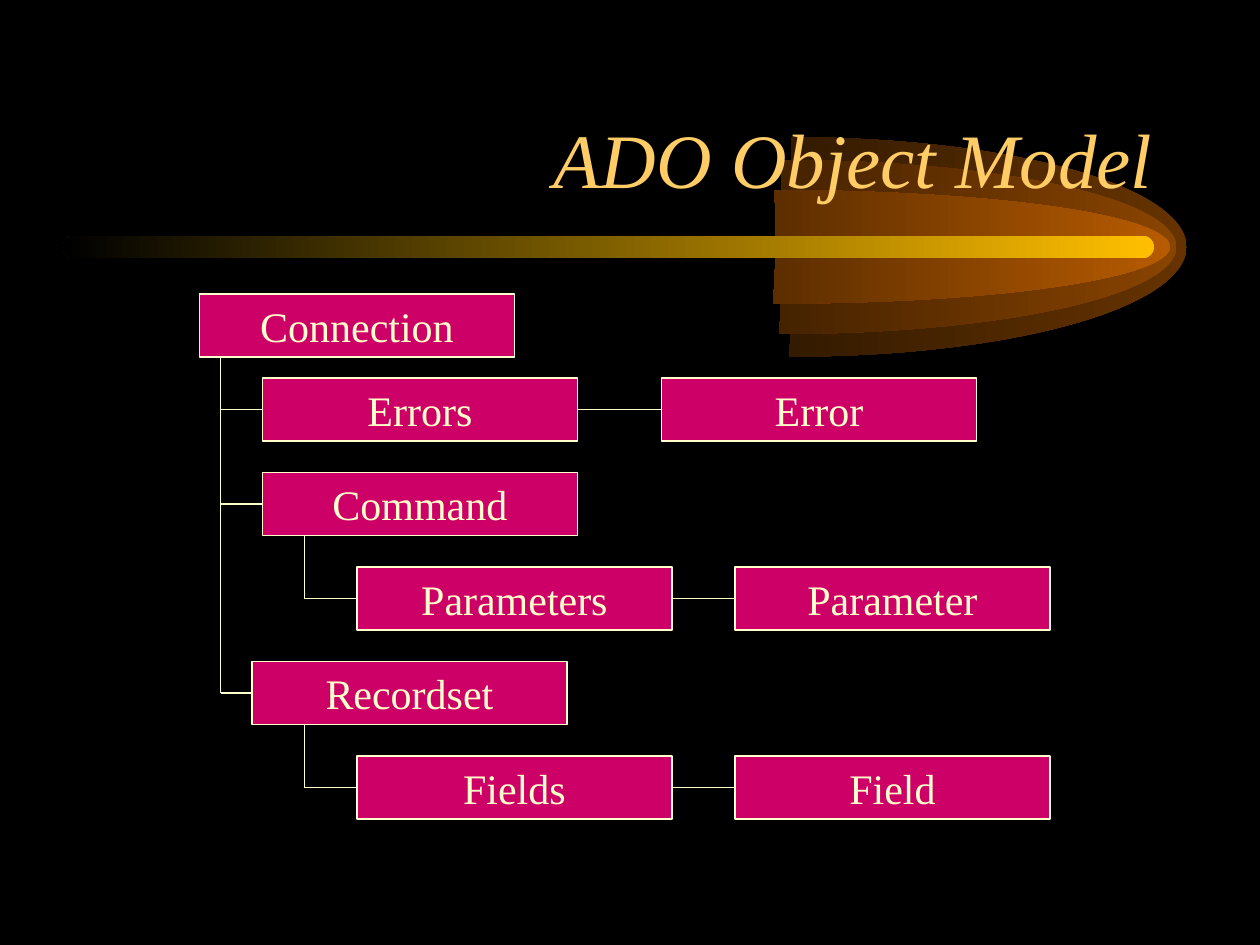
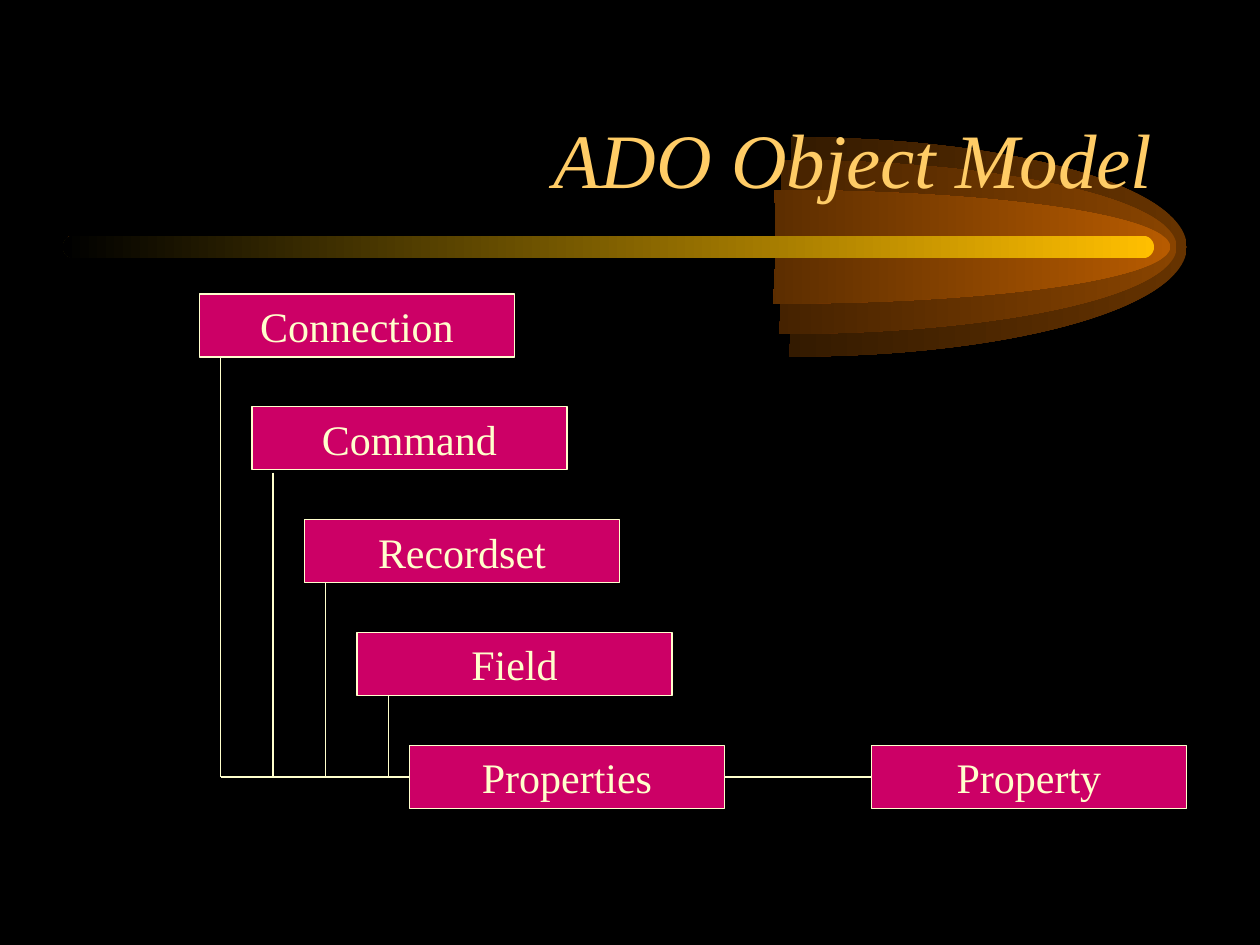
import math

import pptx
import pptx.dml.color
import pptx.enum.shapes
import pptx.enum.text
import pptx.oxml
import pptx.oxml.ns
import pptx.util
from pptx.util import Inches

FONT = "Times New Roman"
HUES = {
    "back": "000000",
    "title": "FFCC66",
    "box": "CC0066",
    "pale": "FFFFCC",
    "bar": "FFBF00",
    "brown": "663300",
    "rust": "894400",
    "amber": "B75B00",
}
# Fans from back to front: centre x, half height, hue
FANS = [(6.29, 0.87, "brown"), (6.21, 0.69, "rust"), (6.16, 0.45, "amber")]
FAN_Y, FAN_RUN = 1.96, 3.13
ALIGN = pptx.enum.text.PP_ALIGN
ANCHOR = pptx.enum.text.MSO_ANCHOR
SHAPE = pptx.enum.shapes.MSO_SHAPE
SPACE = pptx.oxml.ns.nsdecls("a")


def tint(name):
    """Give a named colour."""
    return pptx.dml.color.RGBColor.from_string(HUES[name])


def snap(size):
    """Turn inches into a length on a grid of 48 steps an inch."""
    return Inches(round(size * 48) / 48)


def write(shape, text, size=24, hue="pale", align=ALIGN.CENTER,
          italic=False, wrap=False):
    """Put formatted text into a shape."""
    frame = shape.text_frame
    frame.word_wrap = wrap
    frame.auto_size = pptx.enum.text.MSO_AUTO_SIZE.NONE
    frame.text = text
    par = frame.paragraphs[0]
    par.alignment = align
    font = par.runs[0].font
    font.name, font.size, font.italic = FONT, pptx.util.Pt(size), italic
    font.color.rgb = tint(hue)


def fade(shape, hue):
    """Fill a shape from its hue at the right to the ground at the left."""
    shape.shadow.inherit = False
    shape.line.fill.background()
    shape.fill.gradient()
    shape.fill.gradient_angle = 180
    for stop, name in zip(shape.fill.gradient_stops, (hue, "back")):
        stop.color.rgb = tint(name)


def curve(wide, high):
    """Give path XML for the right half of an ellipse, in three curves."""
    start, step = math.radians(-90.2), math.radians(60.2)
    pull = 4 / 3 * math.tan(step / 4)

    def spot(turn, lean=0.0):
        """Give a point on the ellipse, moved along its tangent."""
        across = math.cos(turn) - lean * math.sin(turn)
        down = math.sin(turn) + lean * math.cos(turn)
        return (f'<a:pt x="{round(wide * (1 + across) / 2)}" '
                f'y="{round(high * (1 + down) / 2)}"/>')

    text = f"<a:moveTo>{spot(start)}</a:moveTo>"
    for turn in (start + i * step for i in range(3)):
        text += (f"<a:cubicBezTo>{spot(turn, pull)}"
                 f"{spot(turn + step, -pull)}{spot(turn + step)}"
                 "</a:cubicBezTo>")
    return text


def fan(slide, mid, tall, hue):
    """Draw a half ellipse within the frame of the whole one."""
    left, top = Inches(mid - FAN_RUN), Inches(FAN_Y - tall)
    wide, high = Inches(2 * FAN_RUN), Inches(2 * tall)
    pen = slide.shapes.build_freeform(left, top, scale=1.0)
    pen.add_line_segments([(left + wide, top), (left + wide, top + high)])
    shape = pen.convert_to_shape()
    shape.left, shape.top, shape.width, shape.height = left, top, wide, high
    arc = curve(wide, high)
    hub = (f'<a:lnTo><a:pt x="{wide // 2}" y="{high // 2}"/></a:lnTo>'
           "<a:close/>")
    size = f'w="{wide}" h="{high}"'
    old = shape.element.find(".//" + pptx.oxml.ns.qn("a:pathLst"))
    new = pptx.oxml.parse_xml(
        f'<a:pathLst {SPACE}><a:path {size} stroke="0">{arc}{hub}</a:path>'
        f'<a:path {size} fill="none">{arc}</a:path></a:pathLst>')
    old.getparent().replace(old, new)
    fade(shape, hue)
    return shape


def bar(slide):
    """Draw the round bar beneath the title."""
    shape = slide.shapes.add_shape(SHAPE.ROUNDED_RECTANGLE, Inches(0.5),
                                   Inches(1.87), Inches(8.66), Inches(0.18))
    shape.adjustments[0] = 0.5
    fade(shape, "bar")
    return shape


def theme(deck, slide):
    """Set the shared ground, art and title place."""
    master = deck.slide_master
    fill = master.background.fill
    fill.solid()
    fill.fore_color.rgb = tint("back")
    art = [fan(slide, *spec) for spec in FANS] + [bar(slide)]
    group = slide.shapes.add_group_shape(art)
    master.shapes.element.insert(2, group.element)
    title = slide.slide_layout.placeholders[0]
    title.left, title.top = snap(0.75), snap(0.42)
    title.width, title.height = snap(8.5), snap(1.25)
    title.text_frame.vertical_anchor = ANCHOR.BOTTOM


def head(slide):
    """Write the slide title."""
    write(slide.shapes.title, "ADO Object Model", size=44, hue="title",
          align=ALIGN.RIGHT, italic=True, wrap=True)


def box(slide, text, left, top):
    """Add one object box."""
    shape = slide.shapes.add_shape(SHAPE.RECTANGLE, snap(left), snap(top),
                                   snap(2.5), snap(0.5))
    shape.shadow.inherit = False
    shape.fill.solid()
    shape.fill.fore_color.rgb = tint("box")
    shape.line.color.rgb = tint("pale")
    shape.line.width = pptx.util.Pt(0.74)
    shape.text_frame.vertical_anchor = ANCHOR.MIDDLE
    write(shape, text)
    return shape


def line(slide, *ends):
    """Add a thin straight line."""
    kind = pptx.enum.shapes.MSO_CONNECTOR.STRAIGHT
    link = slide.shapes.add_connector(kind, *ends)
    link.line.color.rgb = tint("pale")
    link.line.width = pptx.util.Pt(0.74)
    props = link.element.find(pptx.oxml.ns.qn("p:spPr"))
    props.append(pptx.oxml.parse_xml(f"<a:effectLst {SPACE}/>"))


def half(shape):
    """Give the height at the middle of a box."""
    return shape.top + shape.height // 2


def stem(slide, left, above, below, gap=0):
    """Drop a line from one box to the middle height of a lower one."""
    line(slide, snap(left), above.top + above.height + snap(gap),
         snap(left), half(below))


def reach(slide, left, child):
    """Run a line from a stem to a box."""
    line(slide, child.left, half(child), snap(left), half(child))


def join(slide, one, two):
    """Link two boxes side by side."""
    line(slide, one.left + one.width, half(one), two.left, half(two))


def tree(slide):
    """Show the objects with their collections."""
    root = box(slide, "Connection", 1.58, 2.33)
    errors = box(slide, "Errors", 2.08, 3)
    command = box(slide, "Command", 2.08, 3.75)
    records = box(slide, "Recordset", 2, 5.25)
    fields = box(slide, "Fields", 2.83, 6)
    error = box(slide, "Error", 5.25, 3)
    param = box(slide, "Parameter", 5.83, 4.5)
    params = box(slide, "Parameters", 2.83, 4.5)
    field = box(slide, "Field", 5.83, 6)
    stem(slide, 1.75, root, records)
    for child in (records, errors, command):
        reach(slide, 1.75, child)
    for above, child in ((command, params), (records, fields)):
        stem(slide, 2.42, above, child)
        reach(slide, 2.42, child)
    for group, item in ((errors, error), (params, param), (fields, field)):
        join(slide, group, item)


def steps(slide):
    """Show the objects that share the Properties collection."""
    names = ["Connection", "Command", "Recordset", "Field", "Properties"]
    boxes = [box(slide, name, 1.58 + i * 5 / 12, 2.33 + i * 43 / 48)
             for i, name in enumerate(names)]
    props = boxes.pop()
    item = box(slide, "Property", 6.92, 5.92)
    spots = [(1.75, 0), (2.17, 0.02), (2.58, 0), (3.08, 0)]
    for above, (left, gap) in zip(boxes, spots):
        stem(slide, left, above, props, gap)
    reach(slide, 1.75, props)
    join(slide, props, item)


def main():
    """Build and save the deck."""
    deck = pptx.Presentation()
    deck.slide_width, deck.slide_height = Inches(10), Inches(7.5)
    layout = deck.slide_layouts[5]
    first, second = (deck.slides.add_slide(layout) for _ in range(2))
    theme(deck, first)
    for slide, draw in ((first, tree), (second, steps)):
        head(slide)
        draw(slide)
    deck.save("out.pptx")


main()
